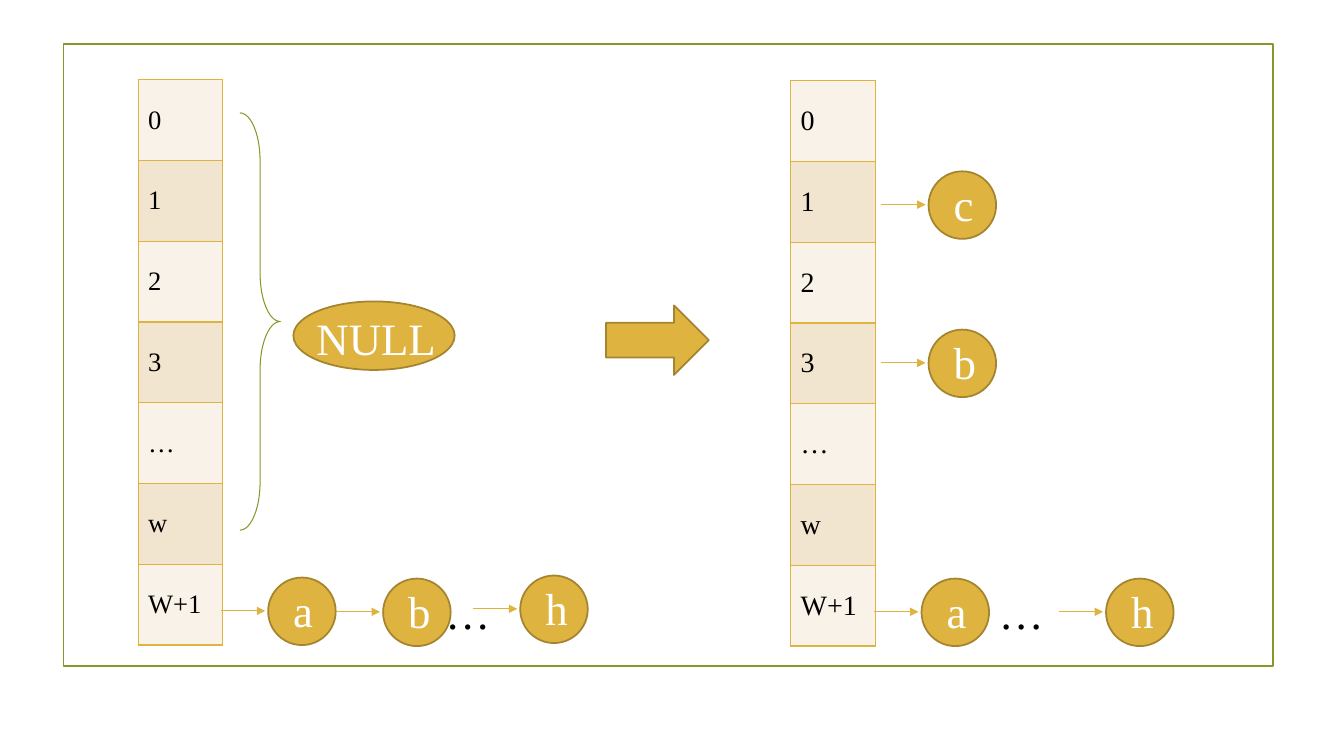
from dataclasses import dataclass

from lxml.etree import SubElement
from pptx import Presentation
from pptx.dml.color import RGBColor
from pptx.enum.shapes import MSO_CONNECTOR, MSO_SHAPE
from pptx.enum.text import MSO_ANCHOR, PP_ALIGN
from pptx.oxml.ns import qn
from pptx.shapes.autoshape import Shape
from pptx.util import Pt

PX = 9144  # EMU, 100 px to the inch
GOLD = RGBColor(0xDE, 0xB3, 0x40)
DARK_GOLD = RGBColor(0xA4, 0x84, 0x2F)
GREEN = RGBColor(0x83, 0x99, 0x2A)
BLACK = RGBColor(0, 0, 0)
WHITE = RGBColor(0xFF, 0xFF, 0xFF)
BANDS = (RGBColor(0xF9, 0xF2, 0xE8), RGBColor(0xF2, 0xE5, 0xCF))
FONT = "Times New Roman"
BUCKET_LABELS = ("0", "1", "2", "3", "…", "w", "W+1")
BUCKET_WIDTH, BUCKETS_HEIGHT = 84, 561
NODE_SIZE, ARROW_LENGTH, ARROW_GAP = 67, 44, 3
LABEL_HEIGHT = 64


@dataclass(frozen=True)
class Buckets:
    left: int
    top: int
    font_size: int


@dataclass(frozen=True)
class Node:
    label: str
    left: int
    top: int


LEFT_BUCKETS = Buckets(137, 79, 19)
RIGHT_BUCKETS = Buckets(784, 80, 20)
LEFT_NODES = (Node("a", 266, 573), Node("b", 380, 574), Node("h", 516, 571))
RIGHT_NODES = (Node("a", 914, 574), Node("b", 921, 327),
               Node("c", 921, 170), Node("h", 1097, 574))
ELLIPSIS_LEFTS = (432, 981)


def add_outline(shapes, kind: MSO_SHAPE, left: int, top: int, width: int, height: int,
                color: RGBColor, line_width: float) -> Shape:
    shape = shapes.add_shape(kind, left * PX, top * PX, width * PX, height * PX)
    shape.shadow.inherit = False
    shape.fill.background()
    shape.line.color.rgb = color
    shape.line.width = Pt(line_width)
    return shape


def add_gold_shape(shapes, kind: MSO_SHAPE, left: int, top: int,
                   width: int, height: int) -> None:
    shape = add_outline(shapes, kind, left, top, width, height, DARK_GOLD, 1.25)
    shape.fill.solid()
    shape.fill.fore_color.rgb = GOLD


def add_label(shapes, text: str, left: int, top: int, width: int, color: RGBColor) -> None:
    box = shapes.add_textbox(left * PX, top * PX, width * PX, LABEL_HEIGHT * PX)
    box.text_frame.word_wrap = True
    para = box.text_frame.paragraphs[0]
    para.text = text
    para.font.name = FONT
    para.font.size = Pt(32)
    para.font.color.rgb = color


def add_arrow(shapes, end: int, middle: int) -> None:
    arrow = shapes.add_connector(MSO_CONNECTOR.STRAIGHT, (end - ARROW_LENGTH) * PX,
                                 middle * PX, end * PX, middle * PX)
    arrow.line.color.rgb = GOLD
    arrow.line.width = Pt(0.75)
    SubElement(arrow.line._get_or_add_ln(), qn("a:tailEnd"), type="triangle")
    SubElement(arrow._element.spPr, qn("a:effectLst"))


def add_node(shapes, node: Node) -> None:
    """Group a circle with its letter and the arrow that points to it."""
    group = shapes.add_group_shape().shapes
    add_arrow(group, node.left - ARROW_GAP, node.top + NODE_SIZE // 2)
    add_gold_shape(group, MSO_SHAPE.OVAL, node.left, node.top, NODE_SIZE, NODE_SIZE)
    add_label(group, node.label, node.left + 15, node.top, 37, WHITE)


def add_cell_borders(cell) -> None:
    properties = cell._tc.get_or_add_tcPr()
    for position, side in enumerate(("lnL", "lnR", "lnT", "lnB")):
        border = properties.makeelement(qn(f"a:{side}"), {"w": str(Pt(1))})
        properties.insert(position, border)
        fill = SubElement(border, qn("a:solidFill"))
        SubElement(fill, qn("a:srgbClr"), val=str(GOLD))


def add_buckets(shapes, buckets: Buckets) -> None:
    table = shapes.add_table(len(BUCKET_LABELS), 1, buckets.left * PX, buckets.top * PX,
                             BUCKET_WIDTH * PX, BUCKETS_HEIGHT * PX).table
    for row, label in enumerate(BUCKET_LABELS):
        cell = table.cell(row, 0)
        cell.fill.solid()
        cell.fill.fore_color.rgb = BANDS[row % 2]
        cell.vertical_anchor = MSO_ANCHOR.MIDDLE
        add_cell_borders(cell)
        para = cell.text_frame.paragraphs[0]
        para.text = label
        para.alignment = PP_ALIGN.JUSTIFY
        para.font.name = FONT
        para.font.size = Pt(buckets.font_size)
        para.font.bold = False
        para.font.color.rgb = BLACK


def main() -> None:
    deck = Presentation()
    deck.slide_width, deck.slide_height = 1333 * PX, 750 * PX
    page = deck.slides.add_slide(deck.slide_layouts[6])
    shapes = page.shapes

    add_outline(shapes, MSO_SHAPE.RECTANGLE, 63, 44, 1200, 617, GREEN, 1.25)
    for buckets, nodes in ((LEFT_BUCKETS, LEFT_NODES), (RIGHT_BUCKETS, RIGHT_NODES)):
        add_buckets(shapes, buckets)
        for node in nodes:
            add_node(shapes, node)
    for left in ELLIPSIS_LEFTS:
        add_label(shapes, "…", left, 575, 64, BLACK)

    add_gold_shape(shapes, MSO_SHAPE.RIGHT_ARROW, 601, 303, 102, 69)
    brace = add_outline(shapes, MSO_SHAPE.RIGHT_BRACE, 238, 112, 40, 414, GREEN, 0.75)
    brace.adjustments[0] = 1.2
    null_group = shapes.add_group_shape().shapes
    add_gold_shape(null_group, MSO_SHAPE.OVAL, 291, 299, 160, 68)
    add_label(null_group, "NULL", 304, 303, 140, WHITE)

    deck.save("out.pptx")


if __name__ == "__main__":
    main()
